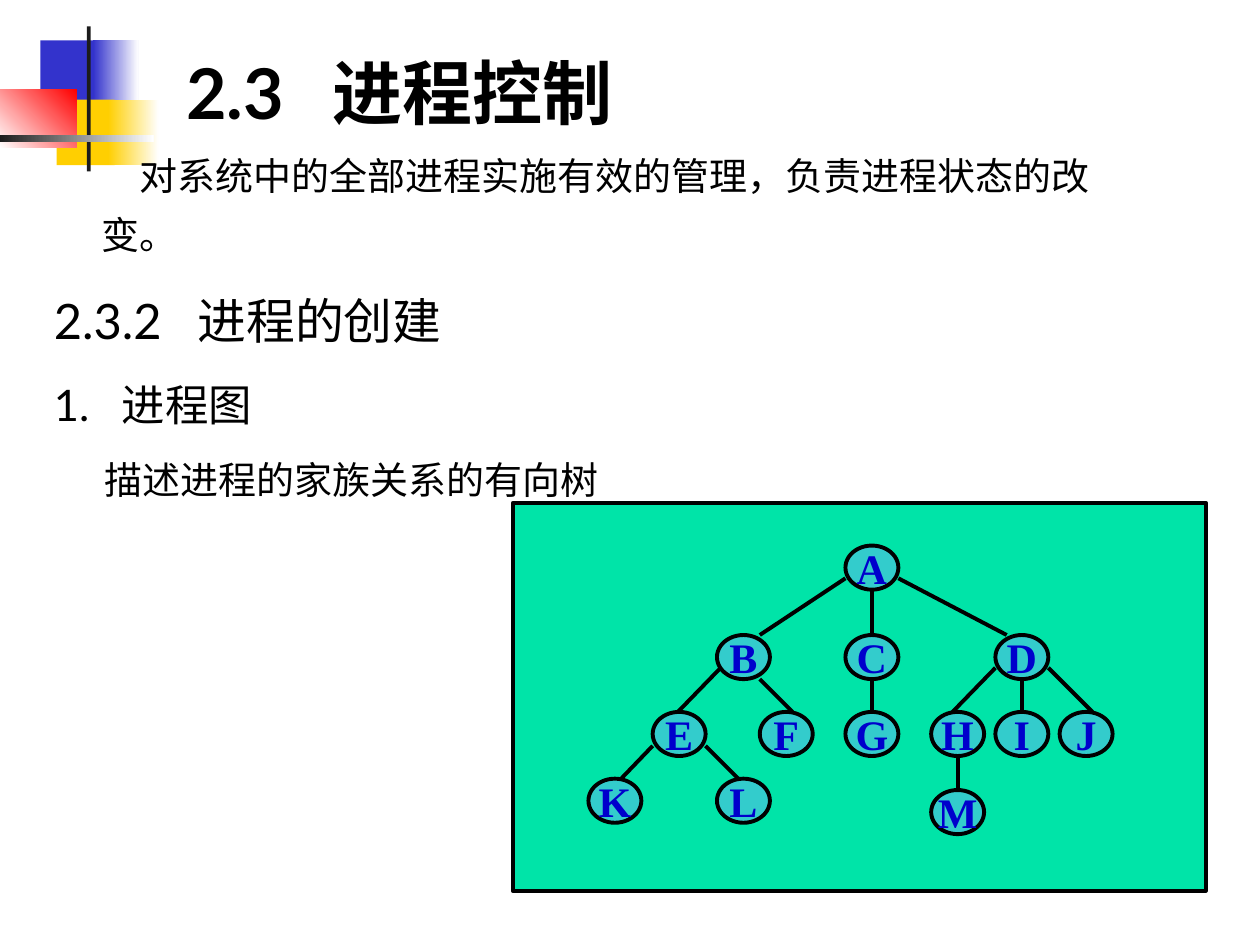
from lxml import etree
from pptx import Presentation
from pptx.dml.color import RGBColor
from pptx.enum.shapes import MSO_CONNECTOR as CONN, MSO_SHAPE as SHAPE
from pptx.enum.text import MSO_ANCHOR as ANCHOR, PP_ALIGN as ALIGN
from pptx.oxml.ns import qn
from pptx.util import Inches, Pt

BLACK = RGBColor(0x00, 0x00, 0x00)
WHITE = RGBColor(0xFF, 0xFF, 0xFF)
INK = RGBColor(0x1C, 0x1C, 0x1C)
BLUE = RGBColor(0x33, 0x33, 0xCC)
YELLOW = RGBColor(0xFF, 0xCF, 0x01)
RED = RGBColor(0xFF, 0x00, 0x00)
GREEN = RGBColor(0x00, 0xE4, 0xA8)
TEAL = RGBColor(0x33, 0xCC, 0xCC)
LETTER = RGBColor(0x00, 0x00, 0xCC)

NODE_W, NODE_H = 0.42, 0.35
COL_STEP, COL_START = 0.17, 0.6
ROW_TOPS = [0.34, 1.05, 1.66, 2.19, 2.28]
NODES = {
    "A": (12, 0), "B": (6, 1), "C": (12, 1), "D": (19, 1),
    "E": (3, 2), "F": (8, 2), "G": (12, 2), "H": (16, 2),
    "I": (19, 2), "J": (22, 2), "K": (0, 3), "L": (6, 3), "M": (16, 4),
}
MID = NODE_W / 2
EDGES = [
    ("A", "B", 0, 0.26, 0.34), ("A", "C", MID, NODE_H, MID),
    ("A", "D", NODE_W, 0.26, 0.09), ("B", "E", 0.03, 0.26, 0.2),
    ("B", "F", 0.34, NODE_H, 0.26), ("C", "G", MID, NODE_H, MID),
    ("D", "H", 0, 0.26, 0.17), ("D", "I", MID, NODE_H, MID),
    ("D", "J", NODE_W, 0.26, 0.26), ("E", "K", 0, 0.27, 0.26),
    ("E", "L", NODE_W, 0.27, 0.17), ("H", "M", MID, NODE_H, MID),
]


def add_box(s, kind, x, y, w, h, colors, angle=0, outlined=False):
    """Add a preset shape with a solid or two-colour gradient fill."""
    sp = s.shapes.add_shape(kind, Inches(x), Inches(y), Inches(w), Inches(h))
    sp.shadow.inherit = False
    if len(colors) == 1:
        sp.fill.solid()
        sp.fill.fore_color.rgb = colors[0]
    else:
        sp.fill.gradient()
        sp.fill.gradient_angle = angle
        for stop, color in zip(sp.fill.gradient_stops, colors):
            stop.color.rgb = color
    if outlined:
        sp.line.color.rgb = BLACK
        sp.line.width = Pt(2.25)
    else:
        sp.line.fill.background()
    return sp


def style(p, size, font="Lato", color=BLACK, bold=False):
    """Set the font of a whole paragraph."""
    p.font.size = Pt(size)
    p.font.name = font
    p.font.color.rgb = color
    p.font.bold = bold


def indent(p, margin, first):
    """Set the left margin and the first-line indent in inches."""
    pPr = p._p.get_or_add_pPr()
    pPr.set("marL", str(Inches(margin)))
    pPr.set("indent", str(Inches(first)))


def add_ornament(s, x, y):
    """Draw the corner ornament of blocks and crossing bars."""
    for dx, dy, w, h, colors, angle in [
        (0.32, 0.11, 0.48, 0.52, [BLUE], 0),
        (0.74, 0.11, 0.36, 0.52, [BLUE, WHITE], 0),
        (0.45, 0.58, 0.46, 0.52, [YELLOW], 0),
        (0.86, 0.58, 0.4, 0.52, [YELLOW, WHITE], 0),
        (0, 0.5, 0.61, 0.46, [WHITE, RED], 45),
        (0.69, 0, 0.03, 1.15, [INK], 0),
        (0, 0.86, 1.22, 0.06, [INK, WHITE], 0),
    ]:
        add_box(s, SHAPE.RECTANGLE, x + dx, y + dy, w, h, colors, angle)


def add_title(s, x, y, w, h):
    """Write the slide title at the bottom of its box."""
    tf = s.shapes.add_textbox(Inches(x), Inches(y), Inches(w), Inches(h)).text_frame
    tf.word_wrap = True
    tf.vertical_anchor = ANCHOR.BOTTOM
    p = tf.paragraphs[0]
    p.text = "2.3\t进程控制"
    indent(p, 1.16, -1.16)
    style(p, 40, bold=True)


def add_body(s, x, y, w, h):
    """Write the introduction, the headings and the definition."""
    tf = s.shapes.add_textbox(Inches(x), Inches(y), Inches(w), Inches(h)).text_frame
    tf.word_wrap = True
    for i, (text, size, before, margin, first) in enumerate([
        ("对系统中的全部进程实施有效的管理，负责进程状态的改变。", 21.7, 0, 0.38, 0.3),
        ("2.3.2\t进程的创建", 27.9, 9, 1.14, -1.14),
        ("1.\t进程图", 24.8, 8, 0.54, -0.54),
        ("描述进程的家族关系的有向树", 21.7, 7, 0.4, 0),
    ]):
        p = tf.add_paragraph() if i else tf.paragraphs[0]
        p.text = text
        p.line_spacing = 1.3
        if before:
            p.space_before = Pt(before)
        indent(p, margin, first)
        style(p, size)


def add_node(s, letter, x, y):
    """Draw one lettered process node."""
    sp = add_box(s, SHAPE.OVAL, x, y, NODE_W, NODE_H, [TEAL], outlined=True)
    tf = sp.text_frame
    tf.word_wrap = False
    tf.vertical_anchor = ANCHOR.MIDDLE
    p = tf.paragraphs[0]
    p.text = letter
    p.alignment = ALIGN.CENTER
    style(p, 24, "Times New Roman", LETTER, True)


def add_edge(s, x1, y1, x2, y2):
    """Draw one line between a parent and a child."""
    line = s.shapes.add_connector(
        CONN.STRAIGHT, Inches(x1), Inches(y1), Inches(x2), Inches(y2))
    line.line.color.rgb = BLACK
    line.line.width = Pt(2.25)
    etree.SubElement(line._element.spPr, qn("a:effectLst"))


def add_process_tree(s, x, y, w, h):
    """Draw the process family tree on its panel."""
    add_box(s, SHAPE.RECTANGLE, x, y, w, h, [GREEN], outlined=True)
    spots = {letter: (x + COL_START + col * COL_STEP, y + ROW_TOPS[row])
             for letter, (col, row) in NODES.items()}
    for letter, spot in spots.items():
        add_node(s, letter, *spot)
    for parent, child, px, py, cx in EDGES:
        (x1, y1), (x2, y2) = spots[parent], spots[child]
        add_edge(s, x1 + px, y1 + py, x2 + cx, y2)


def main():
    """Build the slide and save it."""
    prs = Presentation()
    prs.slide_width, prs.slide_height = Inches(10), Inches(7.5)
    s = prs.slides.add_slide(prs.slide_layouts[6])
    add_ornament(s, 0, 0.21)
    add_title(s, 1.38, 0.28, 3.92, 0.83)
    add_body(s, 0.33, 1.05, 8.5, 2.84)
    add_process_tree(s, 4.07, 3.99, 5.5, 3.08)
    prs.save("out.pptx")


if __name__ == "__main__":
    main()
